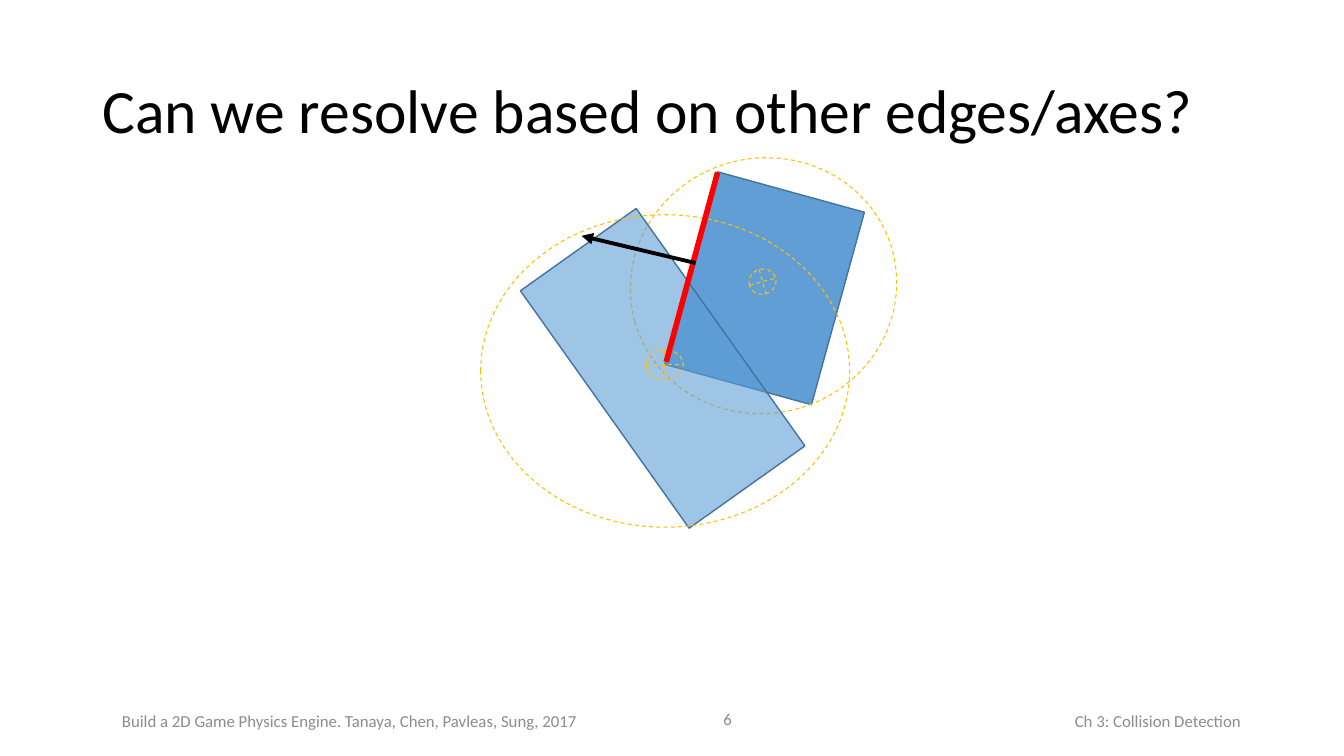
from lxml import etree
from pptx import Presentation
from pptx.dml.color import RGBColor
from pptx.enum import dml, shapes, text
from pptx.oxml import ns
from pptx.util import Pt

THEME = {
    "font": "Calibri", "title": 44, "foot": 12,
    "black": "000000", "grey": "8C8C8C", "body": "5B9BD5",
    "edge": "43739E", "bound": "FFC000", "hit": "FF0000",
}
KIND = shapes.MSO_SHAPE
LEFT, RIGHT = text.PP_ALIGN.LEFT, text.PP_ALIGN.RIGHT


def style(obj, **vals):
    """Set each named format value on an object."""
    for name, val in vals.items():
        setattr(obj, name, val)


def paint(line, color, width):
    """Give a line its colour and width."""
    line.color.rgb = RGBColor.from_string(THEME[color])
    line.width = Pt(width)


deck = Presentation()
style(deck, slide_width=Pt(960), slide_height=Pt(540))
slide = deck.slides.add_slide(deck.slide_layouts[6])

# Footer and title: words, box, size, colour, alignment, line spacing
labels = [
    ("Ch 3: Collision Detection", (547.2, 500.4, 346.3, 28.8), "foot", "grey", RIGHT, 1),
    ("Build a 2D Game Physics Engine. Tanaya, Chen, Pavleas, Sung, 2017",
     (80, 500.4, 363.6, 28.8), "foot", "grey", LEFT, 1),
    ("6", (444.2, 499, 85.7, 28.8), "foot", "grey", RIGHT, 1),
    ("Can we resolve based on other edges/axes?",
     (66, 28.8, 828, 104.4), "title", "black", LEFT, 0.9),
]
for words, box, size, color, align, space in labels:
    frame = slide.shapes.add_textbox(*map(Pt, box)).text_frame
    style(frame, word_wrap=True, vertical_anchor=text.MSO_ANCHOR.MIDDLE)
    para = frame.paragraphs[0]
    style(para, text=words, alignment=align, line_spacing=space)
    font = para.runs[0].font
    style(font, name=THEME["font"], size=Pt(THEME[size]))
    font.color.rgb = RGBColor.from_string(THEME[color])

# Each body: rectangle, bounding circle and centre mark; then angle and opacity
bodies = [
    ((491.8, 134.6, 108.7, 142.6), (450, 113, 190.8, 182.2),
     (535, 192.2, 19.4, 18), 15.4, -15.6, 96),
    ((422.6, 159.1, 101.5, 208.1), (343.4, 153.4, 263.5, 223.2),
     (461.5, 249.8, 26.6, 21.6), -35.4, 0, 59),
]
for rect, ring, mark, turn, tilt, alpha in bodies:
    parts = [
        (KIND.RECTANGLE, rect, turn),
        (KIND.OVAL, ring, tilt),
        (KIND.FLOWCHART_OR, mark, tilt),
    ]
    for kind, box, angle in parts:
        shape = slide.shapes.add_shape(kind, *map(Pt, box))
        shape.rotation = angle
        shape.shadow.inherit = False
        if kind == KIND.RECTANGLE:
            shape.fill.solid()
            shape.fill.fore_color.rgb = RGBColor.from_string(THEME["body"])
            tint = shape.element.xpath("./p:spPr/a:solidFill/a:srgbClr")[0]
            etree.SubElement(tint, ns.qn("a:alpha"), val=str(alpha * 1000))
            paint(shape.line, "edge", 1)
        else:
            shape.fill.background()
            paint(shape.line, "bound", 0.75)
            shape.line.dash_style = dml.MSO_LINE.DASH

# Colliding edge and its normal
links = [
    ((475.9, 258.5, 512.6, 123.1), "hit", 4, False),
    ((496.8, 187.9, 415.4, 168.5), "black", 2.75, True),
]
for ends, color, width, arrow in links:
    link = slide.shapes.add_connector(shapes.MSO_CONNECTOR.STRAIGHT, *map(Pt, ends))
    paint(link.line, color, width)
    props = link.element.spPr
    if arrow:
        etree.SubElement(props.find(ns.qn("a:ln")), ns.qn("a:tailEnd"), type="triangle")
    etree.SubElement(props, ns.qn("a:effectLst"))

deck.save("out.pptx")
